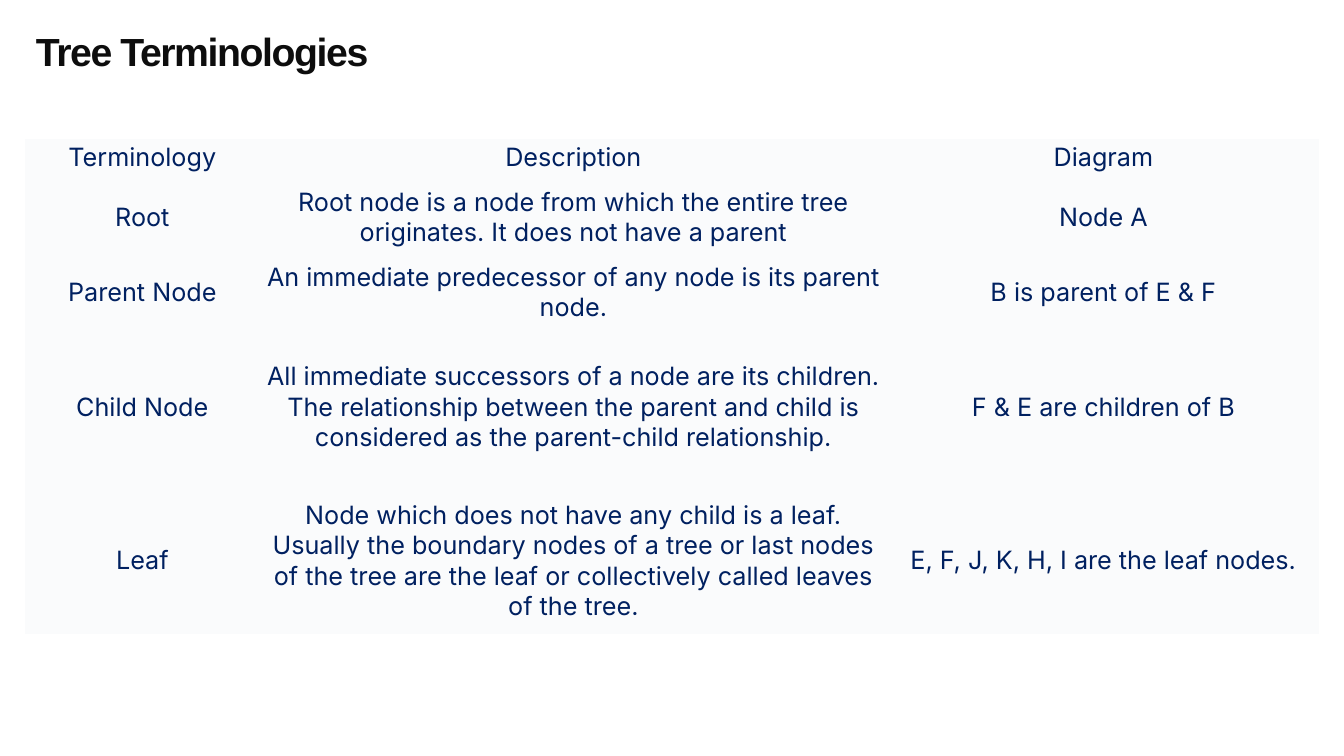
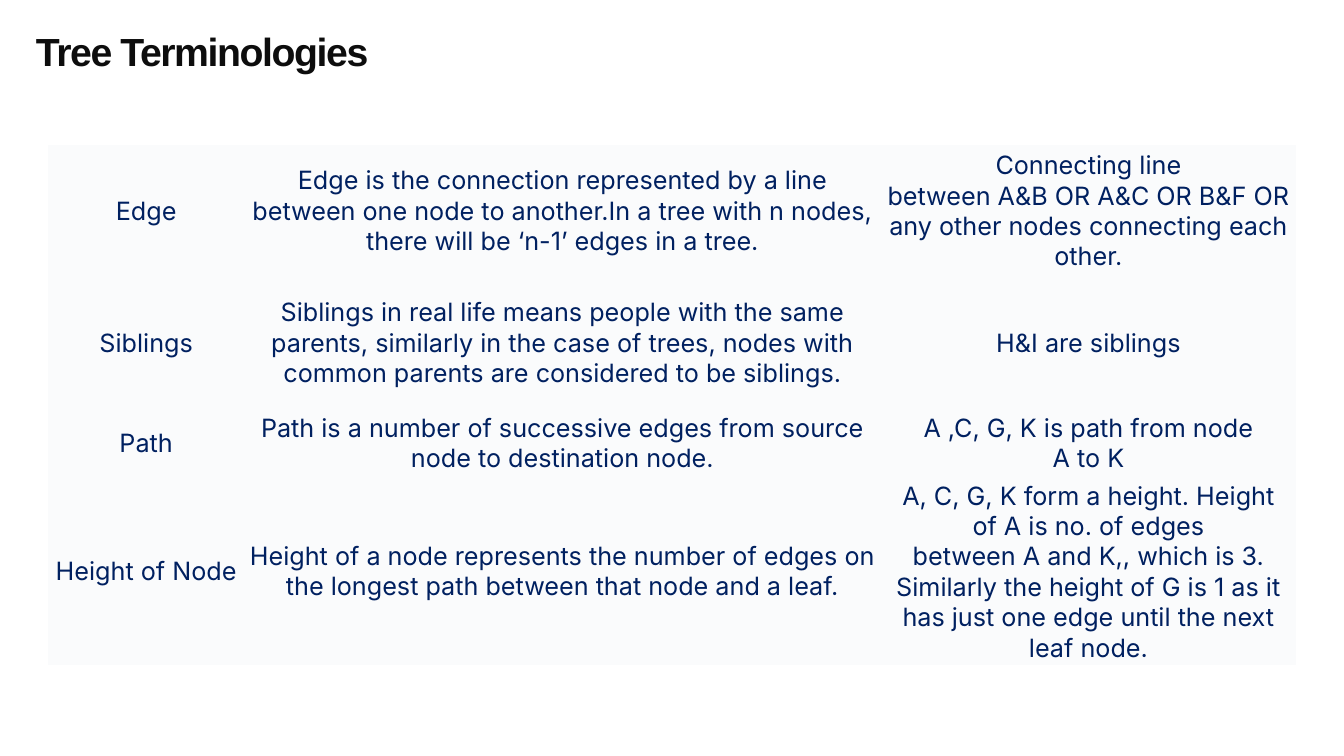
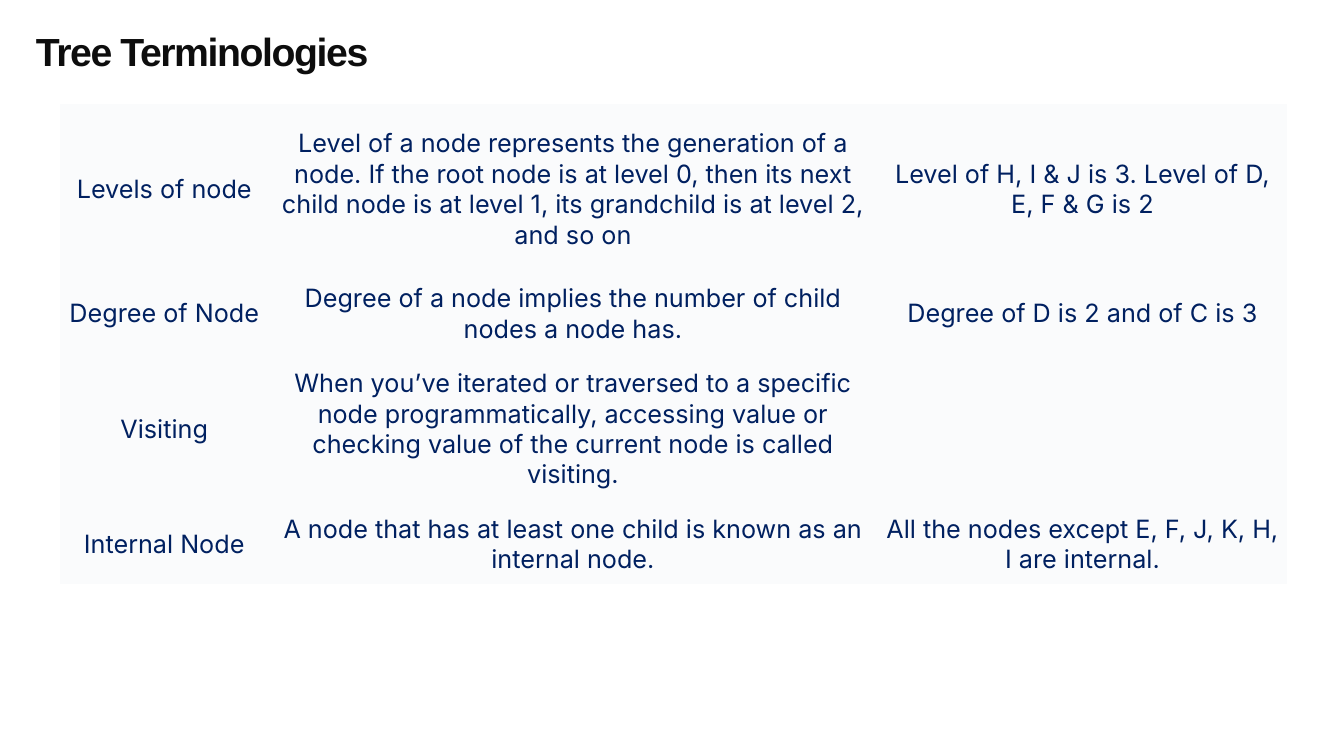
"""Build three slides of tree terminology tables; a tilde stands for a no-break space."""
from pptx import Presentation
from pptx import util as u
from pptx.dml import color
from pptx.enum import text
from pptx.oxml import ns

INK = color.RGBColor(0x0D, 0x0D, 0x0D)
NAVY = color.RGBColor(0x00, 0x20, 0x60)
PALE = color.RGBColor(0xFA, 0xFB, 0xFC)
TITLE = "Tree Terminologies"
NO_GRID = "{2D5ABB26-0587-4C30-8999-92F81FD0307C}"
NO_BREAK_SPACE = chr(160)

PAGES = [
    {
        "left": 18.2, "top": 99.3, "side_margin": 3.6,
        "widths": [167, 448.8, 308.4],
        "heights": [25.6, 59.6, 48.2, 115.2, 104.4],
        "rows": [
            ("Terminology", "Description", "Diagram"),
            ("Root",
             "Root node is a node from which the entire tree originates. "
             "It does not have a parent",
             "Node A"),
            ("Parent Node",
             "An immediate predecessor of any node is its parent node.",
             "B~is parent of~E & F"),
            ("Child Node",
             "All immediate successors of a node are its children. The relationship "
             "between the parent and child is considered as the parent-child relationship.",
             "F & E~are children of~B"),
            ("Leaf",
             "Node which does not have any child is a leaf. Usually the boundary nodes "
             "of a tree or last nodes of the tree are the leaf or collectively called "
             "leaves of the tree.",
             "E, F, J, K, H, I~are the leaf nodes."),
        ],
    },
    {
        "left": 34.2, "top": 103.7, "side_margin": 3.6,
        "widths": [140.4, 454.3, 297.2],
        "heights": [94.3, 94.3, 49, 133],
        "rows": [
            ("Edge",
             "Edge is the connection represented by a line between one node to "
             "another.In a tree with n nodes, there will be ‘n-1’ edges in a tree.",
             "Connecting line between~A&B~OR~A&C~OR~B&F~OR any other nodes "
             "connecting each other."),
            ("Siblings",
             "Siblings in real life means people with the same parents, similarly in "
             "the case of trees, nodes with common parents are considered to be siblings.",
             "H&I~are siblings"),
            ("Path",
             "Path is a number of successive edges from source node to destination node.",
             "A ,C, G, K~is path from~node A~to~K"),
            ("Height of Node",
             "Height of a node represents the number of edges on the longest path "
             "between that node and a leaf.",
             "A, C, G, K~form a height. Height of~A~is no. of edges between~A~and~K,, "
             "which is~3. Similarly the height of~G~is~1~as it has just one edge "
             "until the next leaf node."),
        ],
    },
    {
        "left": 43.2, "top": 74.5, "side_margin": 4.3,
        "widths": [148.3, 435.6, 292.3],
        "heights": [121.6, 56.2, 108.6, 56.2],
        "rows": [
            ("Levels of node",
             "Level of a node represents the generation of a node. If the root node is "
             "at level 0, then its next child node is at level 1, its grandchild is at "
             "level 2, and so on",
             "Level of~H, I~&~J~is~3. Level of~D, E, F & G~is~2"),
            ("Degree of Node",
             "Degree of a node implies the number of child nodes a node has.",
             "Degree of~D~is~2~and of~C~is~3"),
            ("Visiting",
             "When you’ve iterated or traversed to a specific node programmatically, "
             "accessing value or checking value of the current node is called visiting.",
             ""),
            ("Internal Node",
             "A node that has at least one child is known as an internal node.",
             "All the nodes except~E, F, J, K, H, I~are internal."),
        ],
    },
]


def style_font(font, name, size, ink, bold):
    font.name = name
    font.size = u.Pt(size)
    font.color.rgb = ink
    font.bold = bold


deck = Presentation()
deck.slide_width = u.Pt(960)
deck.slide_height = u.Pt(540)

for page in PAGES:
    slide = deck.slides.add_slide(deck.slide_layouts[6])

    box = slide.shapes.add_textbox(u.Pt(25.7), u.Pt(19.4), u.Pt(370.8), u.Pt(33.8))
    frame = box.text_frame
    frame.margin_left = frame.margin_right = frame.margin_top = frame.margin_bottom = 0
    frame.word_wrap = True
    frame.auto_size = text.MSO_AUTO_SIZE.SHAPE_TO_FIT_TEXT
    frame.vertical_anchor = text.MSO_ANCHOR.BOTTOM
    frame.text = TITLE
    span = frame.paragraphs[0].runs[0]
    style_font(span.font, "Arial", 28, INK, True)
    span.font._element.set("spc", "-100")

    table_frame = slide.shapes.add_table(
        len(page["heights"]), len(page["widths"]), u.Pt(page["left"]), u.Pt(page["top"]),
        u.Pt(sum(page["widths"])), u.Pt(sum(page["heights"])))
    table = table_frame.table
    table.first_row = table.horz_banding = False
    table._tbl.tblPr.find(ns.qn("a:tableStyleId")).text = NO_GRID
    for column, width in zip(table.columns, page["widths"]):
        column.width = u.Pt(width)
    for row, height, wording in zip(table.rows, page["heights"], page["rows"]):
        row.height = u.Pt(height)
        for cell, words in zip(row.cells, wording):
            cell.fill.solid()
            cell.fill.fore_color.rgb = PALE
            cell.margin_left = cell.margin_right = u.Pt(page["side_margin"])
            cell.margin_top = cell.margin_bottom = u.Pt(2.2)
            cell.vertical_anchor = text.MSO_ANCHOR.MIDDLE
            para = cell.text_frame.paragraphs[0]
            para.text = words.replace("~", NO_BREAK_SPACE)
            para.alignment = text.PP_ALIGN.CENTER
            for span in para.runs:
                style_font(span.font, "Inter", 18, NAVY, False)

deck.save("out.pptx")
